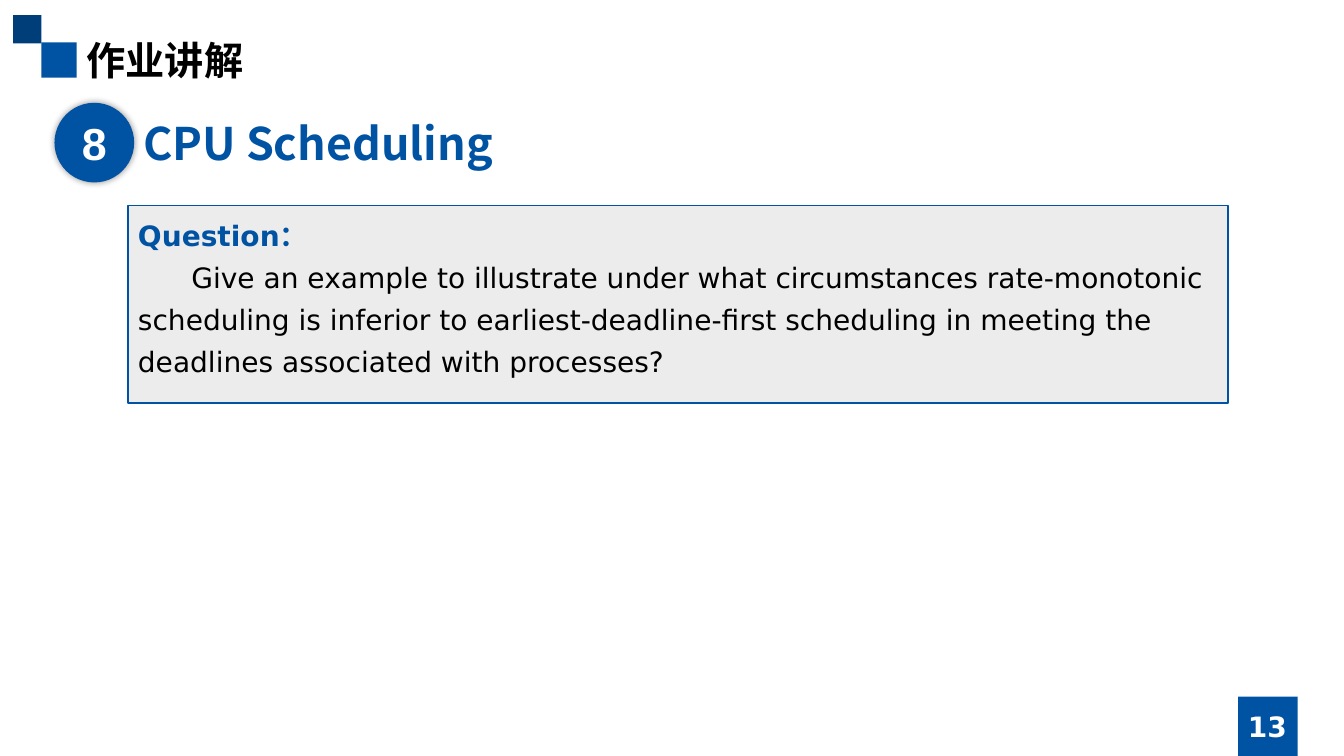
import pptx
import pptx.util
import pptx.dml.color
import pptx.enum.shapes
import pptx.enum.text
import pptx.oxml
import pptx.oxml.ns

# Content
TITLE = "作业讲解"
NUMBER, TOPIC = "8", "CPU Scheduling"
LABEL = "Question："
QUESTION = ("Give an example to illustrate under what circumstances "
            "rate-monotonic scheduling is inferior to earliest-deadline-first "
            "scheduling in meeting the deadlines associated with processes?")
PAGE = "13"

# Style
BLUE, NAVY, GRAY, WHITE, BLACK = "0053A3", "003E7A", "ECECEC", "FFFFFF", "000000"
SANS, HAN, ROUND = "DejaVu Sans", "Noto Sans CJK SC", "Arial"
WIDE, HIGH = 13.33, 7.5

# Layout: left, top, width, height
SMALL, LARGE, TAB = 0.28, 0.35, 0.59
CORNER = (0.13, 0.15, SMALL, SMALL)
STEP = (CORNER[0] + SMALL, CORNER[1] + SMALL - 0.01, LARGE, LARGE)
HEAD = (STEP[0] + LARGE, 0.31, 5.91, 0.57)
BADGE = (0.54, 1.02, 0.79, 0.79)
TOPIC_BOX = (1.32, 1.1, 5.91, 0.64)
PANEL = (1.27, 2.04, 10.91, 1.96)
FOOT = (12.28, HIGH - TAB, TAB, TAB)
PAGE_BOX = (WIDE - 1.52, 7.01, 1.52, 0.4)

inch, point = pptx.util.Inches, pptx.util.Pt
kinds = pptx.enum.shapes.MSO_SHAPE
align, anchor = pptx.enum.text.PP_ALIGN, pptx.enum.text.MSO_ANCHOR


def color(code):
    return pptx.dml.color.RGBColor.from_string(code)


def block(kind, box, fill, line=None):
    shape = slide.shapes.add_shape(kind, *map(inch, box))
    shape.shadow.inherit = False
    shape.fill.solid()
    shape.fill.fore_color.rgb = color(fill)
    if line:
        shape.line.color.rgb = color(line)
        shape.line.width = point(1)
    else:
        shape.line.fill.background()
    return shape


def label(box):
    return slide.shapes.add_textbox(*map(inch, box))


def style(para, size, face, code, bold=True, side=align.LEFT):
    para.alignment = side
    font = para.font
    font.size, font.name, font.bold = point(size), face, bold
    font.color.rgb = color(code)
    if face == HAN:
        latin = para._p.pPr.find(".//" + pptx.oxml.ns.qn("a:latin"))
        latin.addnext(pptx.oxml.parse_xml(
            f'<a:ea {pptx.oxml.ns.nsdecls("a")} typeface="{HAN}"/>'))


def write(shape, text, size, face, code, side=align.LEFT, hold=anchor.TOP):
    frame = shape.text_frame
    frame.word_wrap = True
    frame.vertical_anchor = hold
    frame.text = text
    style(frame.paragraphs[0], size, face, code, side=side)
    return frame


deck = pptx.Presentation()
deck.slide_width, deck.slide_height = inch(WIDE), inch(HIGH)
slide = deck.slides.add_slide(deck.slide_layouts[5])

# Corner squares and page tab
for box, fill in ((STEP, BLUE), (CORNER, NAVY), (FOOT, BLUE)):
    block(kinds.RECTANGLE, box, fill)

# Title and page number
title = slide.shapes.title
title.left, title.top, title.width, title.height = map(inch, HEAD)
write(title, TITLE, 28, HAN, BLACK)
write(label(PAGE_BOX), PAGE, 20, SANS, WHITE, align.CENTER, anchor.MIDDLE)

# Numbered topic with a soft shadow round the badge
badge = block(kinds.OVAL, BADGE, BLUE)
write(badge, NUMBER, 32, ROUND, WHITE, align.CENTER, anchor.MIDDLE)
glow = badge._element.spPr.find(pptx.oxml.ns.qn("a:effectLst"))
glow.append(pptx.oxml.parse_xml(
    f'<a:outerShdw {pptx.oxml.ns.nsdecls("a")} blurRad="{point(5)}" dist="0" dir="0">'
    f'<a:srgbClr val="{BLACK}"><a:alpha val="40000"/></a:srgbClr></a:outerShdw>'))
write(label(TOPIC_BOX), TOPIC, 32, HAN, BLUE)

# Question panel
block(kinds.RECTANGLE, PANEL, GRAY, BLUE)
frame = write(label(PANEL), LABEL, 20, SANS, BLUE)
body = frame.add_paragraph()
body.text = QUESTION
style(body, 20, SANS, BLACK, bold=False)
body._p.get_or_add_pPr().set("indent", str(inch(0.53)))
for para in frame.paragraphs:
    para.line_spacing = 1.25

deck.save("out.pptx")
